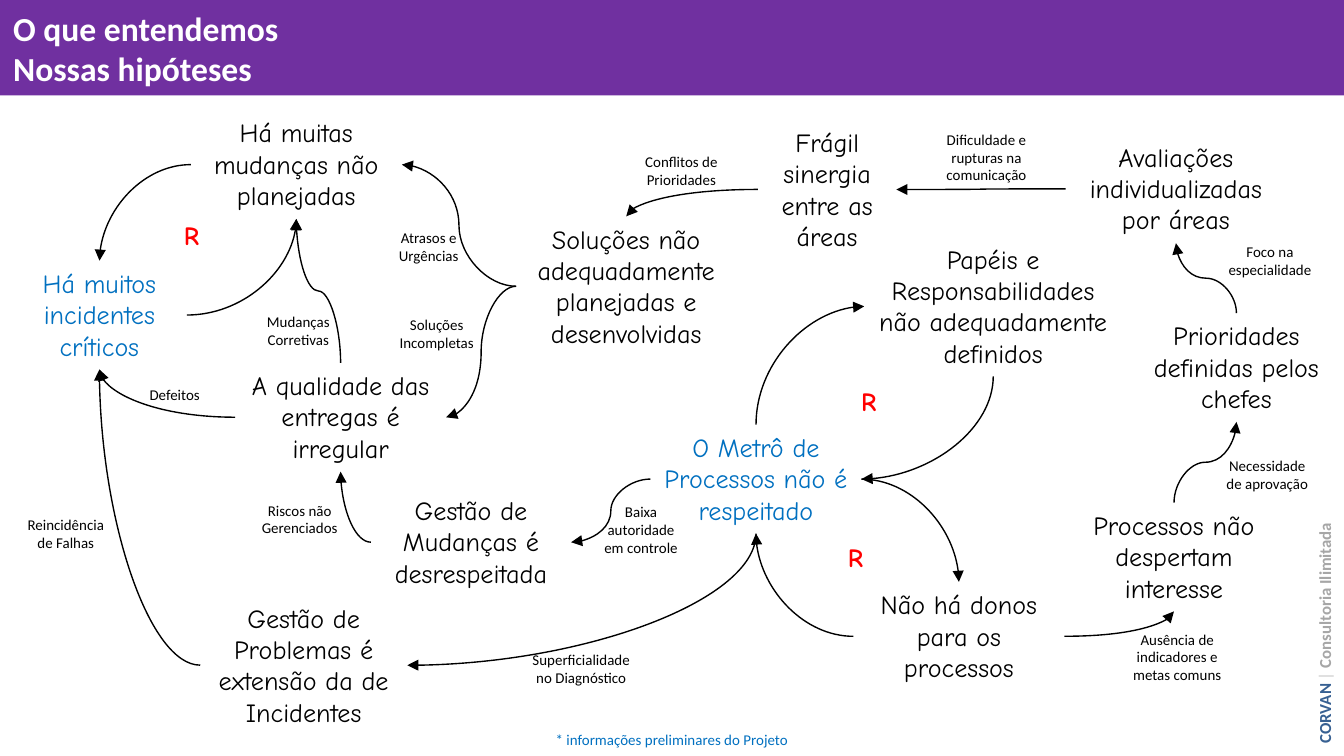
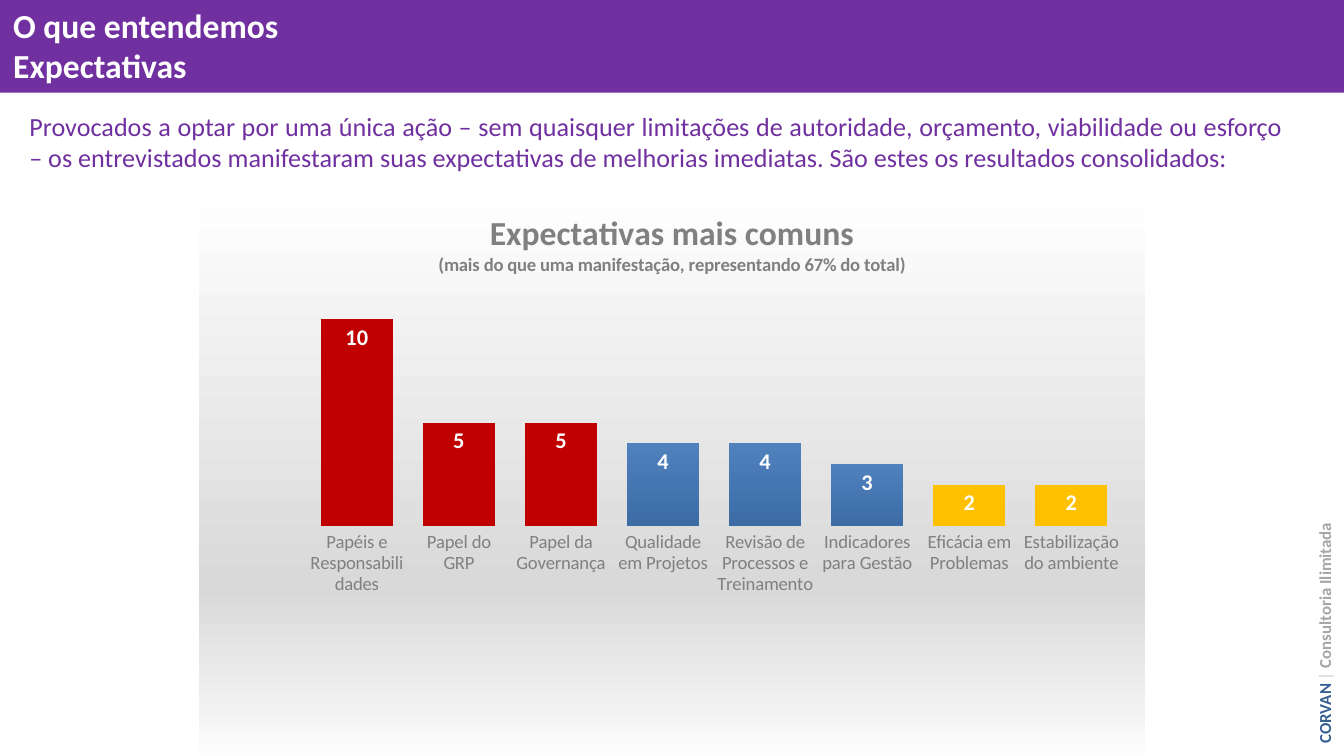
from collections import namedtuple

from lxml import etree
from pptx import Presentation, util as u
from pptx.chart.data import CategoryChartData
from pptx.dml.color import RGBColor
from pptx.enum import chart as ch, shapes, text
from pptx.oxml import parse_xml
from pptx.oxml.ns import nsdecls, qn

PURPLE = RGBColor(0x70, 0x30, 0xA0)
WHITE = RGBColor(0xFF, 0xFF, 0xFF)
BLACK = RGBColor(0, 0, 0)
BLUE = RGBColor(0x00, 0x70, 0xC0)
RED = RGBColor(0xFF, 0, 0)
NAVY = RGBColor(0x37, 0x60, 0x92)
PALE_GRAY = RGBColor(0xD9, 0xD9, 0xD9)
MID_GRAY = RGBColor(0xA6, 0xA6, 0xA6)
DARK_GRAY = RGBColor(0x80, 0x80, 0x80)
CRIMSON = RGBColor(0xC0, 0, 0)
AMBER = RGBColor(0xFF, 0xC0, 0)
BAR_TOP = RGBColor(0x4F, 0x81, 0xBD)
BAR_BASE = RGBColor(0x3D, 0x6C, 0xA4)

BODY_FONT = "Calibri"
IDEA_FONT = "Comic Neue"
COLUMNS, ROWS = 100, 56.25  # square grid cells of a tenth of an inch
CENTER, JUSTIFY = text.PP_ALIGN.CENTER, text.PP_ALIGN.JUSTIFY

Box = namedtuple("Box", "left top width height")

# key: text, left, top, width, lines, colour
IDEAS = {
    "incidentes": ("Há muitos incidentes críticos", 0.9, 19.4, 13, 3, BLUE),
    "mudanças": ("Há muitas mudanças não planejadas", 14.2, 8.2, 15.7, 3, BLACK),
    "metrô": ("O Metrô de Processos não é respeitado", 48.4, 31.6, 15.7, 3, BLUE),
    "papéis": ("Papéis e Responsabilidades não adequadamente definidos",
               64.3, 17.6, 19.2, 4, BLACK),
    "soluções": ("Soluções não adequadamente planejadas e desenvolvidas",
                 38.4, 16.1, 16.4, 4, BLACK),
    "qualidade": ("A qualidade das entregas é irregular", 17.5, 27, 15.7, 3, BLACK),
    "donos": ("Não há donos para os processos", 63.5, 43.3, 15.7, 3, BLACK),
    "problemas": ("Gestão de Problemas é extensão da de Incidentes",
                  14.9, 44.3, 15.4, 4, BLACK),
    "gestão": ("Gestão de Mudanças é\ndesrespeitada", 27.6, 36.3, 14.9, 3, BLACK),
    "sinergia": ("Frágil sinergia entre as áreas", 56.4, 8.9, 10.3, 4, BLACK),
    "interesse": ("Processos não despertam interesse", 78.1, 37.4, 18.5, 3, BLACK),
    "prioridades": ("Prioridades definidas pelos chefes", 84, 23.3, 16, 3, BLACK),
    "avaliações": ("Avaliações individualizadas por áreas", 79.3, 10, 16.4, 3, BLACK),
}

# cause, side it leaves from, effect, side it arrives at
CAUSES = [
    ("incidentes", "right", "mudanças", "bottom"),
    ("mudanças", "left", "incidentes", "top"),
    ("papéis", "bottom", "metrô", "right"),
    ("soluções", "left", "qualidade", "right"),
    ("qualidade", "left", "incidentes", "bottom"),
    ("qualidade", "top", "mudanças", "bottom"),
    ("donos", "left", "metrô", "bottom"),
    ("donos", "right", "interesse", "bottom"),
    ("metrô", "left", "gestão", "right"),
    ("problemas", "left", "incidentes", "bottom"),
    ("metrô", "bottom", "problemas", "right"),
    ("gestão", "left", "qualidade", "bottom"),
    ("metrô", "top", "papéis", "left"),
    ("soluções", "left", "mudanças", "right"),
    ("avaliações", "left", "sinergia", "right"),
    ("sinergia", "left", "soluções", "top"),
    ("metrô", "right", "donos", "top"),
    ("interesse", "top", "prioridades", "bottom"),
    ("prioridades", "top", "avaliações", "bottom"),
]

# text, left, top, width, lines
NOTES = [
    ("Mudanças Corretivas", 18.8, 22.8, 6.8, 2),
    ("Defeitos", 9.6, 28.2, 6.8, 1),
    ("Atrasos e Urgências", 28.5, 16.5, 6.8, 2),
    ("Riscos não Gerenciados", 18.2, 36.8, 8.2, 2),
    ("Reincidência de Falhas", 0.8, 37.9, 8.2, 2),
    ("Dificuldade e rupturas na comunicação", 69, 9.2, 8.8, 3),
    ("Soluções\nIncompletas", 28.5, 23, 8, 2),
    ("Baixa autoridade em controle", 43.7, 36.9, 8, 3),
    ("Superficialidade no Diagnóstico", 38.4, 47.9, 9.7, 2),
    ("Conflitos de Prioridades", 46.1, 10.9, 9.2, 2),
    ("Foco na especialidade", 89.5, 17.6, 10, 2),
    ("Necessidade de aprovação", 89.8, 33.5, 9, 2),
    ("Ausência de indicadores e metas comuns", 83.1, 46.4, 9, 3),
]

LOOPS = [(12.2, 15.8), (62.6, 28.2), (61.6, 39.8)]

EXPECTATIONS = {
    "Papéis e Responsabilidades": 10, "Papel do GRP": 5,
    "Papel da Governança": 5, "Qualidade em Projetos": 4,
    "Revisão de Processos e Treinamento": 4, "Indicadores para Gestão": 3,
    "Eficácia em Problemas": 2, "Estabilização do ambiente": 2,
}
HIGHLIGHTS = {0: CRIMSON, 1: CRIMSON, 2: CRIMSON, 6: AMBER, 7: AMBER}


def cells(count):
    return u.Inches(count / 10)


def set_font(font, size, color, bold=None, name=BODY_FONT):
    font.name, font.size, font.bold = name, u.Pt(size), bold
    font.color.rgb = color


def add_text(slide, words, box, size, color, align=CENTER, bold=None, name=BODY_FONT):
    label = slide.shapes.add_textbox(*map(cells, box))
    frame = label.text_frame
    frame.word_wrap = True
    frame.auto_size = text.MSO_AUTO_SIZE.SHAPE_TO_FIT_TEXT
    frame.text = words
    for paragraph in frame.paragraphs:
        paragraph.alignment = align
        set_font(paragraph.font, size, color, bold, name)
    return label


def add_title_band(slide, subject, top=0):
    band = slide.shapes.add_shape(
        shapes.MSO_SHAPE.RECTANGLE, 0, cells(top), cells(COLUMNS), cells(7.1))
    band.shadow.inherit = False
    band.fill.solid()
    band.fill.fore_color.rgb = PURPLE
    band.line.fill.background()
    band.text_frame.text = "O que entendemos\n" + subject
    for paragraph in band.text_frame.paragraphs:
        paragraph.alignment = text.PP_ALIGN.LEFT
        set_font(paragraph.font, 18, WHITE, True)


def add_signature(slide):
    signature = add_text(slide, "", Box(88.9, 45.4, 19.3, 2.5), 9, NAVY,
                         text.PP_ALIGN.LEFT, True)
    signature.rotation = 270
    line = signature.text_frame.paragraphs[0]
    for words, color in (("CORVAN ", NAVY), ("| ", PALE_GRAY),
                         ("Consultoria Ilimitada", MID_GRAY)):
        run = line.add_run()
        run.text = words
        run.font.color.rgb = color


def side_point(box, side):
    """Middle of one side of a box, in cells."""
    across = {"left": 0, "right": 1}.get(side, 0.5)
    down = {"top": 0, "bottom": 1}.get(side, 0.5)
    return box.left + box.width * across, box.top + box.height * down


def add_curved_arrow(slide, start, end, leaves_upright, turns):
    """Curve from start to end; it turns a corner or runs as an S."""
    (x1, y1), (x2, y2) = start, end
    if leaves_upright:  # lay the curve on its side; it is rotated back below
        mid_x, mid_y = (x1 + x2) / 2, (y1 + y2) / 2
        half_w, half_h = (y2 - y1) / 2, (x1 - x2) / 2
        x1, x2 = mid_x - half_w, mid_x + half_w
        y1, y2 = mid_y - half_h, mid_y + half_h
    arrow = slide.shapes.add_connector(
        shapes.MSO_CONNECTOR.CURVE, *map(cells, (x1, y1, x2, y2)))
    arrow.line.color.rgb = BLACK
    arrow.line.width = u.Pt(0.75)
    properties = arrow.element.spPr
    if leaves_upright:
        properties.find(qn("a:xfrm")).set("rot", str(90 * 60000))
    if turns:
        properties.find(qn("a:prstGeom")).set("prst", "curvedConnector2")
    etree.SubElement(properties.find(qn("a:ln")), qn("a:tailEnd"), type="triangle")
    etree.SubElement(properties, qn("a:effectLst"))


def build_hypotheses(slide):
    add_title_band(slide, "Nossas hipóteses")
    add_signature(slide)
    boxes = {}
    for key, (words, left, top, width, lines, color) in IDEAS.items():
        boxes[key] = Box(left, top, width, 1.2 + 2.3 * lines)
        add_text(slide, words, boxes[key], 14, color, name=IDEA_FONT)
    for cause, exit_side, effect, entry_side in CAUSES:
        leaves_upright, arrives_upright = (
            side in ("top", "bottom") for side in (exit_side, entry_side))
        add_curved_arrow(slide, side_point(boxes[cause], exit_side),
                         side_point(boxes[effect], entry_side),
                         leaves_upright, leaves_upright != arrives_upright)
    for words, left, top, width, lines in NOTES:
        add_text(slide, words, Box(left, top, width, 1.1 + 1.3 * lines), 8, BLACK)
    for left, top in LOOPS:
        add_text(slide, "R", Box(left, top, 4.1, 3.4), 14, RED,
                 bold=True, name=IDEA_FONT)
    add_text(slide, "* informações preliminares do Projeto",
             Box(37, 53.9, 26, 2.4), 8, BLUE)


def shade_chart(chart):
    """Vertical gradient behind the whole chart, without a border."""
    stops = "".join(
        f'<a:gs pos="{share * 1000}"><a:srgbClr val="{color}"/></a:gs>'
        for share, color in ((0, WHITE), (68, PALE_GRAY), (100, WHITE)))
    chart.element.find(qn("c:chart")).addnext(parse_xml(
        f'<c:spPr {nsdecls("c", "a")}><a:gradFill><a:gsLst>{stops}</a:gsLst>'
        '<a:lin ang="5400000" scaled="0"/></a:gradFill>'
        '<a:ln><a:noFill/></a:ln></c:spPr>'))


def place_plot(chart, **shares):
    """Fix the inner plot area by shares x, y, w and h of the chart."""
    area = chart.element.find(qn("c:chart")).find(qn("c:plotArea"))
    for automatic in area.findall(qn("c:layout")):
        area.remove(automatic)
    layout = etree.Element(qn("c:layout"))
    manual = etree.SubElement(layout, qn("c:manualLayout"))
    settings = {"layoutTarget": "inner", "xMode": "edge", "yMode": "edge", **shares}
    for tag, value in settings.items():
        etree.SubElement(manual, qn("c:" + tag), val=str(value))
    area.insert(0, layout)


def add_expectations_chart(slide, box):
    data = CategoryChartData()
    data.categories = list(EXPECTATIONS)
    data.add_series("Series 1", list(EXPECTATIONS.values()))
    chart = slide.shapes.add_chart(
        ch.XL_CHART_TYPE.COLUMN_CLUSTERED, *map(cells, box), data).chart
    set_font(chart.font, 10, BLACK)
    chart.has_legend = False
    heading = chart.chart_title.text_frame
    heading.text = ("Expectativas mais comuns\n"
                    "(mais do que uma manifestação, representando 67% do total)")
    for paragraph, size in zip(heading.paragraphs, (18, 10)):
        set_font(paragraph.font, size, DARK_GRAY, True)

    topics, counts = chart.category_axis, chart.value_axis
    topics.major_tick_mark = ch.XL_TICK_MARK.NONE
    topics.format.line.fill.background()
    set_font(topics.tick_labels.font, 10, DARK_GRAY)
    counts.visible = False
    counts.has_major_gridlines = False
    counts.minimum_scale, counts.maximum_scale = 0, 12

    plot = chart.plots[0]
    plot.gap_width = 41
    plot.vary_by_categories = False
    bars = plot.series[0]
    bars.format.fill.gradient()
    bars.format.fill.gradient_angle = 270
    for stop, color in zip(bars.format.fill.gradient_stops, (BAR_TOP, BAR_BASE)):
        stop.color.rgb = color
    for position, color in HIGHLIGHTS.items():
        fill = bars.points[position].format.fill
        fill.solid()
        fill.fore_color.rgb = color
    labels = bars.data_labels
    labels.show_value = True
    labels.position = ch.XL_LABEL_POSITION.INSIDE_END
    set_font(labels.font, 12, WHITE, True)
    shade_chart(chart)
    place_plot(chart, x=0.113, y=0.154, w=0.863, h=0.424)


def build_expectations(slide):
    add_title_band(slide, "Expectativas", top=-0.2)
    add_signature(slide)
    add_expectations_chart(slide, Box(14.8, 14, 70.4, 43.5))
    add_text(slide, "Provocados a optar por uma única ação – sem quaisquer limitações "
             "de autoridade, orçamento, viabilidade ou esforço – os entrevistados "
             "manifestaram suas expectativas de melhorias imediatas. São estes os "
             "resultados consolidados:", Box(1.2, 7.7, 95.3, 5.7), 14, PURPLE, JUSTIFY)


def main():
    deck = Presentation()
    deck.slide_width, deck.slide_height = cells(COLUMNS), cells(ROWS)
    for build in (build_hypotheses, build_expectations):
        build(deck.slides.add_slide(deck.slide_layouts[6]))
    deck.save("out.pptx")


if __name__ == "__main__":
    main()
